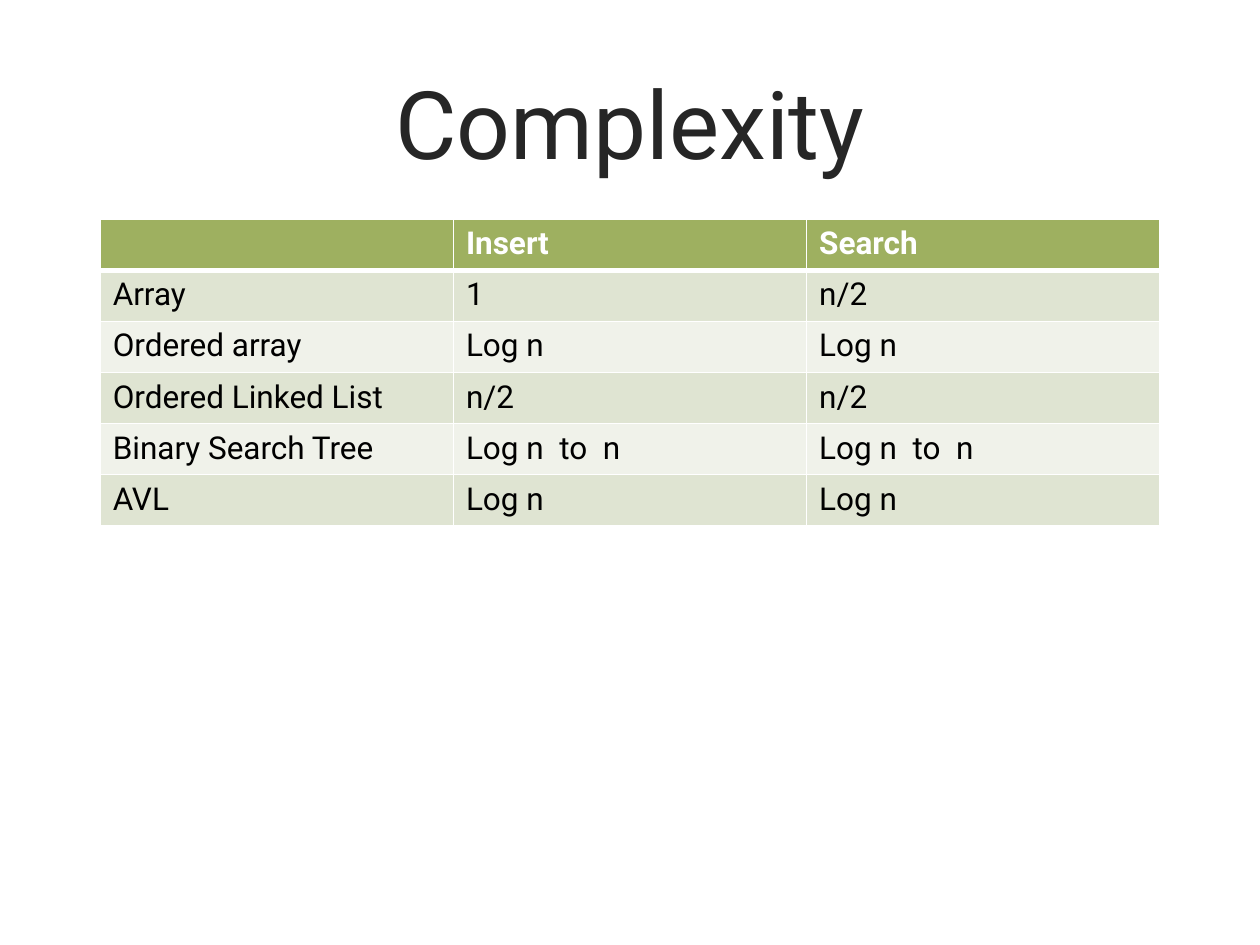
from lxml.etree import SubElement
from pptx import Presentation
from pptx.dml.color import RGBColor
from pptx.enum.text import MSO_ANCHOR, PP_ALIGN
from pptx.oxml.ns import qn
from pptx.util import Cm, Pt

WHITE = RGBColor(0xFF, 0xFF, 0xFF)
BLACK = RGBColor(0x00, 0x00, 0x00)
CHARCOAL = RGBColor(0x26, 0x26, 0x26)
OLIVE = RGBColor(0x9E, 0xB0, 0x60)
SAGE = RGBColor(0xDF, 0xE4, 0xD2)
PALE_SAGE = RGBColor(0xF0, 0xF2, 0xEA)

COMPLEXITIES = [
    ("", "Insert", "Search"),
    ("Array", "1", "n/2"),
    ("Ordered array", "Log n", "Log n"),
    ("Ordered Linked List", "n/2", "n/2"),
    ("Binary Search Tree", "Log n  to  n", "Log n  to  n"),
    ("AVL", "Log n", "Log n"),
]


def write(frame, text, size=18, color=BLACK, bold=False, align=PP_ALIGN.LEFT):
    """Write one formatted paragraph into a text frame."""
    para = frame.paragraphs[0]
    para.alignment = align
    if text:
        span = para.add_run()
        span.text = text
        span.font.name = "Roboto"
        span.font.size = Pt(size)
        span.font.bold = bold
        span.font.color.rgb = color


def set_borders(cell, top, bottom):
    """Draw white borders round a cell, with top and bottom widths in points."""
    properties = cell._tc.get_or_add_tcPr()
    for side, width in (("L", 1), ("R", 1), ("T", top), ("B", bottom)):
        line = SubElement(properties, qn(f"a:ln{side}"), w=str(Pt(width)))
        fill = SubElement(line, qn("a:solidFill"))
        SubElement(fill, qn("a:srgbClr"), val=str(WHITE))


def add_title(page, text, left, top, width, height):
    """Place the centred slide title in the given box."""
    box = page.shapes.add_textbox(left, top, width, height)
    box.text_frame.word_wrap = True
    box.text_frame.vertical_anchor = MSO_ANCHOR.MIDDLE
    write(box.text_frame, text, size=54, color=CHARCOAL, align=PP_ALIGN.CENTER)


def add_complexity_table(page, rows, left, top, width, height):
    """Fill the given box with a banded table under a header row."""
    table = page.shapes.add_table(len(rows), len(rows[0]), left, top, width, height).table
    for row_index, texts in enumerate(rows):
        header = row_index == 0
        band = OLIVE if header else SAGE if row_index % 2 else PALE_SAGE
        for column_index, text in enumerate(texts):
            cell = table.cell(row_index, column_index)
            set_borders(cell, 3 if row_index == 1 else 1, 3 if header else 1)
            cell.fill.solid()
            cell.fill.fore_color.rgb = band
            write(cell.text_frame, text, color=WHITE if header else BLACK, bold=header)


def build_deck():
    """Build and save the one-slide deck."""
    deck = Presentation()
    deck.slide_width, deck.slide_height = Cm(25.4), Cm(19.05)
    page = deck.slides.add_slide(deck.slide_layouts[6])
    left, width = Cm(2.02), Cm(21.36)
    add_title(page, "Complexity", left, Cm(0.86), width, Cm(3.18))
    add_complexity_table(page, COMPLEXITIES, left, Cm(4.42), width, Cm(6.18))
    deck.save("out.pptx")


build_deck()
